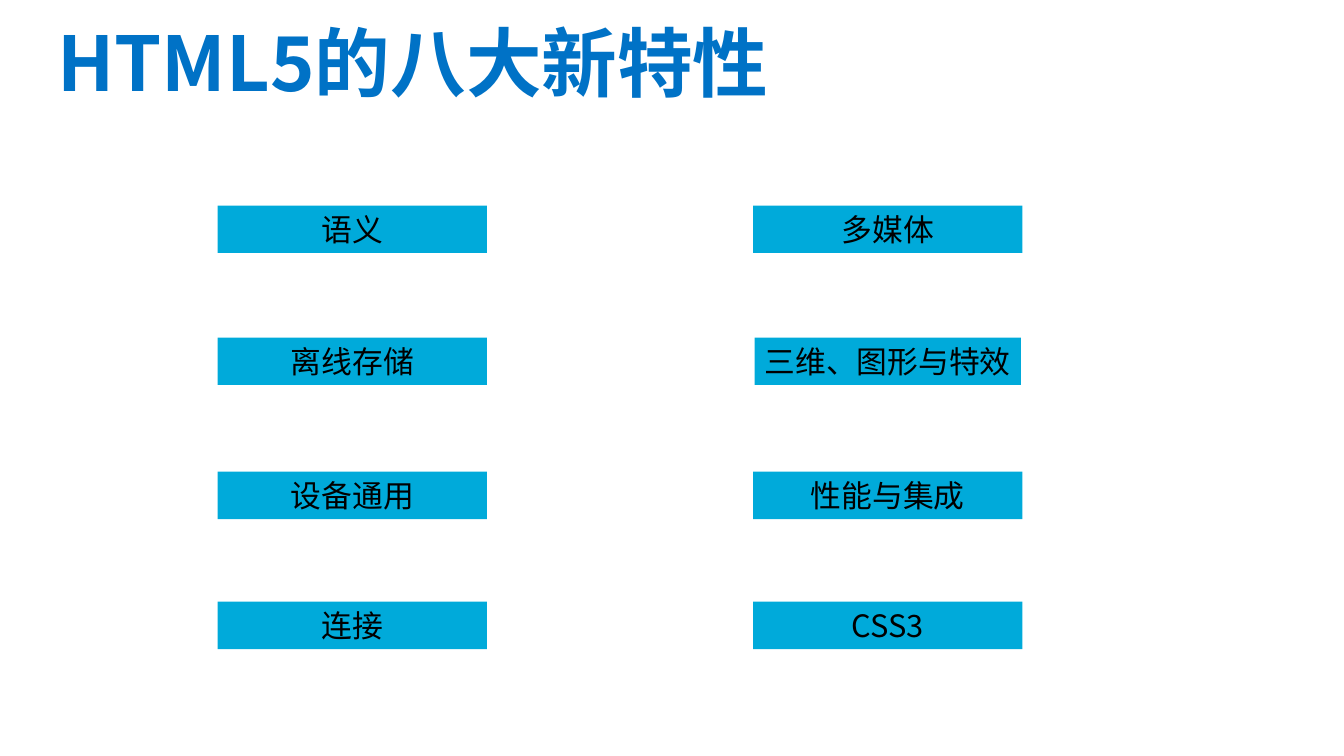
from lxml import etree
from pptx import Presentation
from pptx.dml.color import RGBColor
from pptx.enum import shapes, text
from pptx.oxml import ns
from pptx.util import Inches, Pt

FONT = "Noto Sans CJK SC"
COLORS = {"title": "0072C6", "feature": "00AADA", "label": "000000"}
COLUMNS = [
    (2.16, ["语义", "离线存储", "设备通用", "连接"]),
    (7.47, ["多媒体", "三维、图形与特效", "性能与集成", "CSS3"]),
]
ROW_TOPS = [2.04, 3.35, 4.68, 5.97]
FEATURE_WIDTH, FEATURE_HEIGHT = 2.67, 0.47
WIDE_LABEL, WIDE_LABEL_INSET = "三维、图形与特效", 0.015


def format_text(frame, size, color, bold=False):
    for paragraph in frame.paragraphs:
        for run in paragraph.runs:
            run.font.name = FONT
            run.font.size = Pt(size)
            run.font.bold = bold
            run.font.color.rgb = RGBColor.from_string(COLORS[color])
            east_asian = etree.SubElement(run.font._element, ns.qn("a:ea"))
            east_asian.set("typeface", FONT)


def add_title(slide, wording):
    title = slide.shapes.add_textbox(
        Inches(0.57), Inches(0.25), Inches(12.19), Inches(0.82))
    frame = title.text_frame
    frame.word_wrap = True
    frame.margin_left = frame.margin_right = 0
    frame.margin_top = frame.margin_bottom = 0
    frame.vertical_anchor = text.MSO_ANCHOR.MIDDLE
    frame.text = wording
    frame.paragraphs[0].line_spacing = 0.9
    format_text(frame, 54, "title", bold=True)


def add_feature(slide, label, left, top):
    inset = WIDE_LABEL_INSET if label == WIDE_LABEL else 0
    feature = slide.shapes.add_shape(
        shapes.MSO_SHAPE.RECTANGLE, Inches(left + inset), Inches(top),
        Inches(FEATURE_WIDTH - 2 * inset), Inches(FEATURE_HEIGHT))
    feature.shadow.inherit = False
    feature.fill.solid()
    feature.fill.fore_color.rgb = RGBColor.from_string(COLORS["feature"])
    feature.line.fill.background()
    frame = feature.text_frame
    frame.word_wrap = label != WIDE_LABEL
    frame.vertical_anchor = text.MSO_ANCHOR.MIDDLE
    frame.text = label
    frame.paragraphs[0].alignment = text.PP_ALIGN.CENTER
    format_text(frame, 22, "label")


def main():
    deck = Presentation()
    deck.slide_width, deck.slide_height = Inches(13.33), Inches(7.5)
    slide = deck.slides.add_slide(deck.slide_layouts[6])
    add_title(slide, "HTML5的八大新特性")
    for left, labels in COLUMNS:
        for label, top in zip(labels, ROW_TOPS):
            add_feature(slide, label, left, top)
    deck.save("out.pptx")


if __name__ == "__main__":
    main()
